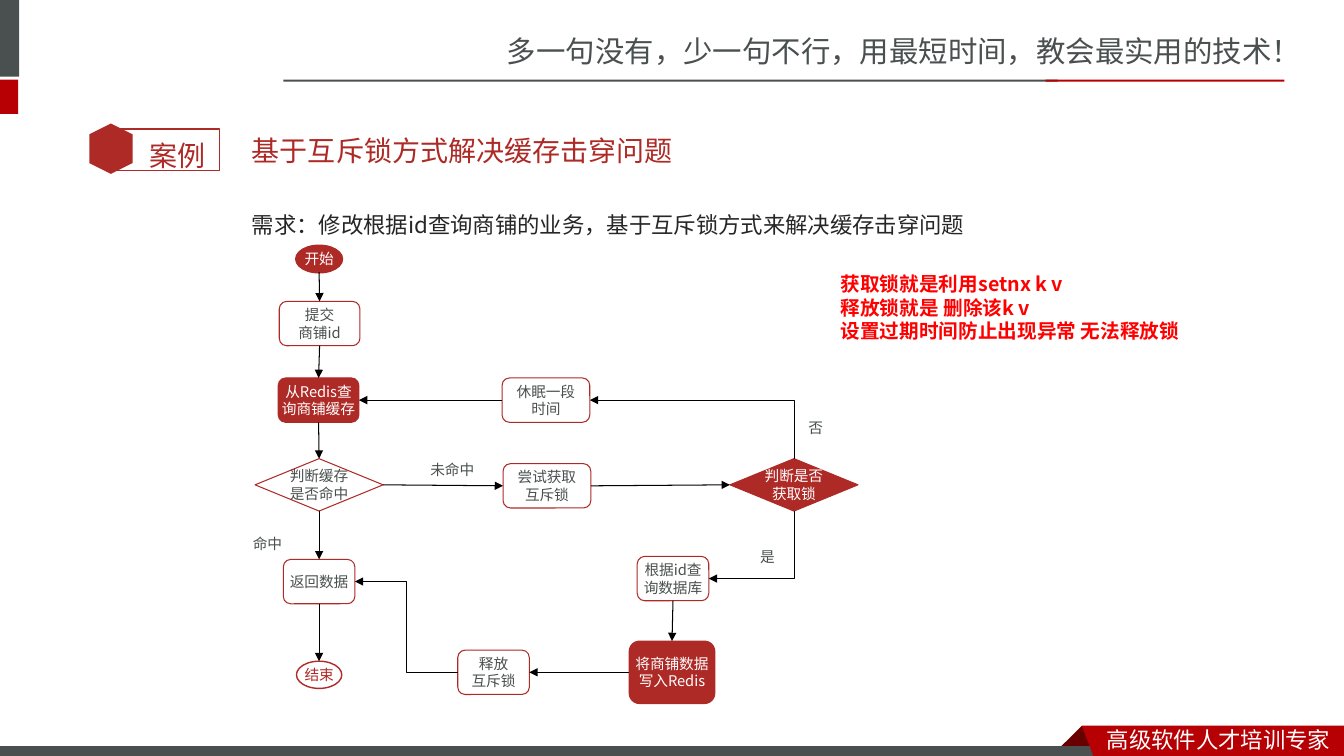
from lxml.etree import SubElement
from pptx import Presentation
from pptx.dml.color import RGBColor
from pptx.enum.shapes import MSO_CONNECTOR, MSO_SHAPE
from pptx.enum.text import MSO_ANCHOR, PP_ALIGN
from pptx.oxml.ns import qn
from pptx.util import Inches, Pt

COLORS = {
    "gray": "49504F", "red": "B60004", "dark_red": "680000", "brick": "AD2A26",
    "ink": "262626", "white": "FFFFFF", "black": "000000", "alert": "FF0000",
}
FONT = "Noto Sans CJK SC"
TOP, LEFT, BOTTOM, RIGHT = range(4)


class SlideBuilder:
    def __init__(self, slide):
        self.slide = slide

    def color(self, name):
        return RGBColor.from_string(COLORS[name])

    def paint(self, sp, fill=None, line=None, weight=0.75):
        sp.shadow.inherit = False
        if fill:
            sp.fill.solid()
            sp.fill.fore_color.rgb = self.color(fill)
        else:
            sp.fill.background()
        if line:
            sp.line.color.rgb = self.color(line)
            sp.line.width = Pt(weight)
        else:
            sp.line.fill.background()

    def set_text(self, tf, text, size, color, frame, bold=False, font=FONT,
                 align=PP_ALIGN.LEFT, spacing=1.0):
        for name, value in frame.items():
            setattr(tf, name, value)
        for i, line in enumerate(text.split("\n")):
            p = tf.paragraphs[0] if i == 0 else tf.add_paragraph()
            p.alignment, p.line_spacing = align, spacing
            r = p.add_run()
            r.text = line
            formats = {"size": Pt(size), "name": font, "bold": bold}
            for name, value in formats.items():
                setattr(r.font, name, value)
            r.font.color.rgb = self.color(color)
            SubElement(r._r.rPr, qn("a:ea")).set("typeface", FONT)

    def text(self, box, text, size, color, wrap=True, anchor=MSO_ANCHOR.TOP, **style):
        sp = self.slide.shapes.add_textbox(*map(Inches, box))
        frame = {"word_wrap": wrap, "vertical_anchor": anchor}
        self.set_text(sp.text_frame, text, size, color, frame, **style)

    def shape(self, kind, box, fill=None, line=None, weight=0.75):
        sp = self.slide.shapes.add_shape(kind, *map(Inches, box))
        self.paint(sp, fill, line, weight)
        return sp

    def polygon(self, points, fill):
        points = [(Inches(x), Inches(y)) for x, y in points]
        builder = self.slide.shapes.build_freeform(*points[0])
        builder.add_line_segments(points[1:], close=True)
        self.paint(builder.convert_to_shape(), fill)

    def node(self, kind, box, text, solid=False, weight=0.75, color=None, inset=0.05):
        sp = self.shape(kind, box, "brick" if solid else "white", "brick", weight)
        frame = {
            "word_wrap": True, "vertical_anchor": MSO_ANCHOR.MIDDLE,
            "margin_left": 0, "margin_right": 0,
            "margin_top": Inches(inset), "margin_bottom": Inches(inset),
        }
        color = color or ("white" if solid else "gray")
        self.set_text(sp.text_frame, text, 10.5, color, frame, align=PP_ALIGN.CENTER)
        return sp

    def arrow(self, begin, begin_side, end, end_side, kind=MSO_CONNECTOR.STRAIGHT):
        middle = begin.left + begin.width // 2
        bottom = begin.top + begin.height
        c = self.slide.shapes.add_connector(kind, middle, bottom, end.left, end.top)
        if begin.auto_shape_type != MSO_SHAPE.OVAL:
            c.begin_connect(begin, begin_side)
        c.end_connect(end, end_side)
        c.line.color.rgb = self.color("black")
        c.line.width = Pt(0.75)
        spPr = c._element.spPr
        SubElement(spPr.find(qn("a:ln")), qn("a:tailEnd")).set("type", "triangle")
        SubElement(spPr, qn("a:effectLst"))
        return c

    def corner_arrow(self, begin, begin_side, end, end_side):
        c = self.arrow(begin, begin_side, end, end_side, MSO_CONNECTOR.ELBOW)
        x, y = (c.begin_x + c.end_x) // 2, (c.begin_y + c.end_y) // 2
        width, height = abs(c.end_y - c.begin_y), abs(c.end_x - c.begin_x)
        spPr = c._element.spPr
        spPr.find(qn("a:prstGeom")).set("prst", "bentConnector2")
        xfrm = spPr.find(qn("a:xfrm"))
        for name in list(xfrm.attrib):
            del xfrm.attrib[name]
        if begin_side == TOP:
            xfrm.set("rot", "16200000")
            xfrm.set("flipV", "1")
        else:
            xfrm.set("rot", "5400000")
        place = {"left": x - width // 2, "top": y - height // 2,
                 "width": width, "height": height}
        for name, value in place.items():
            setattr(c, name, value)


def draw_frame(s):
    s.text((4.93, 0.28, 8.41, 0.47), "多一句没有，少一句不行，用最短时间，教会最实用的技术！", 21, "gray")
    bars = [
        ((-0.06, 0, 0.25, 0.76), "gray"),
        ((-0.06, 0.79, 0.24, 0.34), "red"),
        ((2.81, 0.79, 7.68, 0.02), "gray"),
        ((10.37, 0.79, 2.37, 0.02), "red"),
    ]
    for box, fill in bars:
        s.shape(MSO_SHAPE.RECTANGLE, box, fill)
    s.polygon([(10.73, 7.2), (10.95, 7.42), (10.94, 7.43), (10.52, 7.43), (10.51, 7.42)], "dark_red")
    s.shape(MSO_SHAPE.RECTANGLE, (-0.01, 7.41, 10.96, 0.09), "gray", "gray")
    s.polygon([(10.73, 7.2), (13.33, 7.2), (13.33, 7.54), (10.86, 7.54)], "red")
    s.text((10.88, 7.15, 2.45, 0.37), "高级软件人才培训专家", 16, "white")


def draw_heading(s):
    s.shape(MSO_SHAPE.RECTANGLE, (1.09, 1.28, 1.09, 0.41), line="brick", weight=1)
    s.shape(MSO_SHAPE.HEXAGON, (0.85, 1.26, 0.5, 0.43), "brick").rotation = 90
    s.text((1.38, 1.16, 0.85, 0.56), "案例", 20, "brick", font="Calibri", spacing=1.5)
    s.text((2.4, 1.21, 10.08, 0.57), "基于互斥锁方式解决缓存击穿问题", 20, "brick",
           anchor=MSO_ANCHOR.MIDDLE)
    s.text((2.4, 1.91, 10.08, 0.72),
           "需求：修改根据id查询商铺的业务，基于互斥锁方式来解决缓存击穿问题", 16, "ink", spacing=1.5)


def draw_flow(s):
    oval, box, diamond = MSO_SHAPE.OVAL, MSO_SHAPE.ROUNDED_RECTANGLE, MSO_SHAPE.DIAMOND
    start = s.node(oval, (2.94, 2.44, 0.45, 0.26), "开始", True, 2)
    submit = s.node(box, (2.77, 2.99, 0.8, 0.44), "提交\n商铺id")
    query = s.node(box, (2.76, 3.75, 0.8, 0.44), "从Redis查询商铺缓存", True, inset=0)
    hit = s.node(diamond, (2.53, 4.55, 1.27, 0.52), "判断缓存\n是否命中")
    result = s.node(box, (2.81, 5.55, 0.71, 0.44), "返回数据")
    finish = s.node(oval, (2.94, 6.56, 0.45, 0.27), "结束", weight=1, color="brick")
    lock = s.node(box, (4.99, 4.6, 0.87, 0.44), "尝试获取\n互斥锁")
    locked = s.node(diamond, (7.24, 4.55, 1.27, 0.52), "判断是否获取锁", True, inset=0)
    sleep = s.node(box, (4.98, 3.75, 0.87, 0.44), "休眠一段\n时间")
    database = s.node(box, (6.32, 5.52, 0.71, 0.44), "根据id查询数据库")
    store = s.node(box, (6.24, 6.36, 0.85, 0.62), "将商铺数据写入Redis", True, inset=0)
    release = s.node(box, (4.54, 6.45, 0.71, 0.44), "释放\n互斥锁")

    column = [start, submit, query, hit, result, finish]
    for upper, lower in [*zip(column, column[1:]), (database, store)]:
        s.arrow(upper, BOTTOM, lower, TOP)
    for left, right in [(hit, lock), (lock, locked)]:
        s.arrow(left, RIGHT, right, LEFT)
    for right, left in [(sleep, query), (store, release)]:
        s.arrow(right, LEFT, left, RIGHT)
    s.corner_arrow(locked, BOTTOM, database, RIGHT)
    s.corner_arrow(locked, TOP, sleep, RIGHT)
    s.arrow(release, LEFT, result, RIGHT, MSO_CONNECTOR.ELBOW)

    labels = [("未命中", 4.17, 4.52, 0.64), ("命中", 2.41, 5.26, 0.49),
              ("是", 7.44, 5.39, 0.35), ("否", 7.92, 4.11, 0.35)]
    for label, x, y, width in labels:
        s.text((x, y, width, 0.28), label, 10.5, "gray", wrap=False)


def main():
    prs = Presentation()
    prs.slide_width, prs.slide_height = Inches(13.33), Inches(7.5)
    s = SlideBuilder(prs.slides.add_slide(prs.slide_layouts[6]))
    draw_frame(s)
    draw_heading(s)
    draw_flow(s)
    s.text((8.24, 2.65, 3.63, 0.81),
           "获取锁就是利用setnx k v\n释放锁就是 删除该k v\n设置过期时间防止出现异常 无法释放锁",
           14, "alert", wrap=False, bold=True)
    prs.save("out.pptx")


if __name__ == "__main__":
    main()
